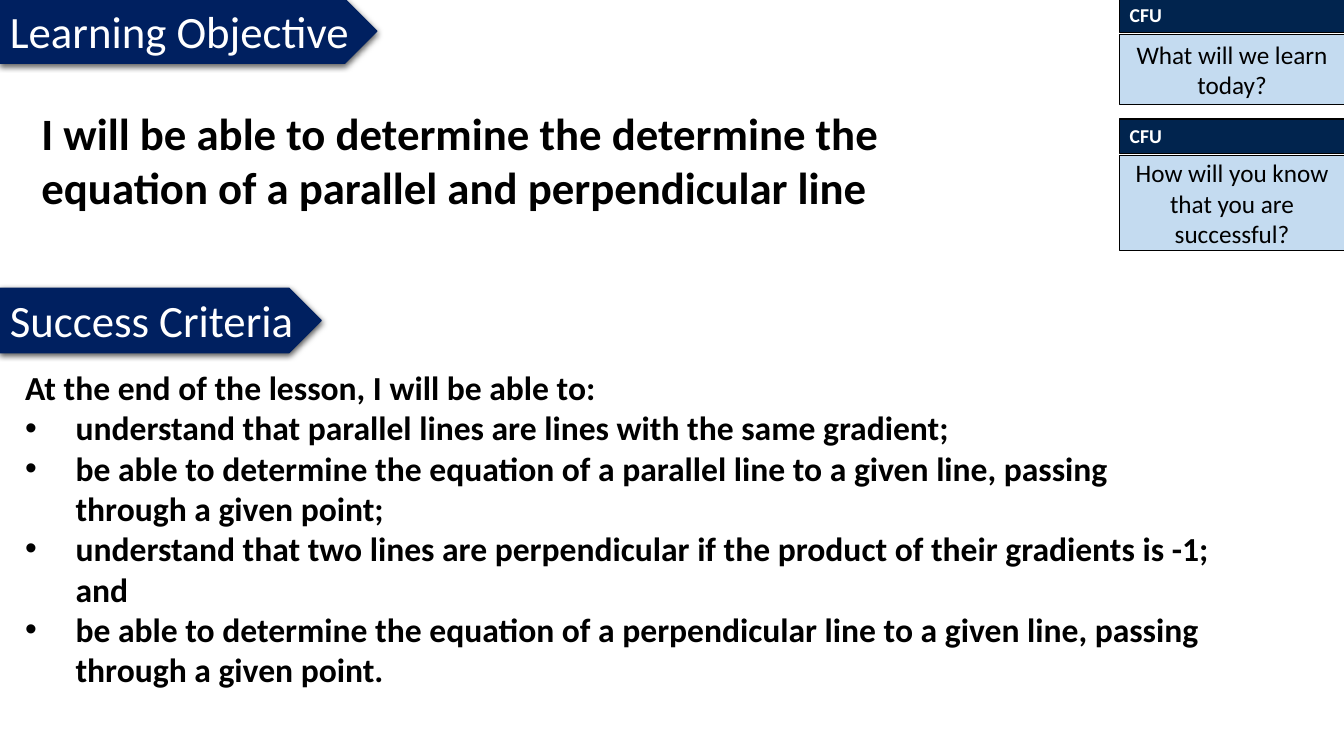
import lxml.etree
import pptx
import pptx.dml.color
import pptx.enum.shapes
import pptx.enum.text
import pptx.oxml.ns
import pptx.util

Cm, Pt = pptx.util.Cm, pptx.util.Pt
ANCHOR, ALIGN = pptx.enum.text.MSO_ANCHOR, pptx.enum.text.PP_ALIGN
SHAPE = pptx.enum.shapes.MSO_SHAPE
COLORS = {"navy": "002060", "header": "01244E", "question": "9DC3E6",
          "black": "000000", "white": "FFFFFF"}
OBJECTIVE = ("I will be able to determine the determine the equation of a "
             "parallel and perpendicular line")
CRITERIA = [
    "understand that parallel lines are lines with the same gradient;",
    "be able to determine the equation of a parallel line to a given line, "
    "passing through a given point;",
    "understand that two lines are perpendicular if the product of their "
    "gradients is -1; and",
    "be able to determine the equation of a perpendicular line to a given "
    "line, passing through a given point.",
]


def rgb(name):
    """Return the named colour."""
    return pptx.dml.color.RGBColor.from_string(COLORS[name])


def add_xml(parent, tag, **attrs):
    """Append a drawing element with the given attributes."""
    el = lxml.etree.SubElement(parent, pptx.oxml.ns.qn(tag))
    for key, value in attrs.items():
        el.set(key, str(value))
    return el


class LessonSlide:
    """Hold the lesson style and the slide being built."""

    def __init__(self, prs):
        """Add a title and content slide."""
        self.s = prs.slides.add_slide(prs.slide_layouts[1])
        self.font = "Calibri"

    def place(self, sp, box):
        """Move a shape to a box given in centimetres."""
        for name, value in zip(("left", "top", "width", "height"), box):
            setattr(sp, name, Cm(value))

    def fill_text(self, sp, lines, size, color="black", bold=False,
                  align=ALIGN.LEFT, anchor=ANCHOR.TOP, wrap=True):
        """Fill a shape with formatted paragraphs."""
        tf = sp.text_frame
        frame = {"word_wrap": wrap, "vertical_anchor": anchor,
                 "auto_size": pptx.enum.text.MSO_AUTO_SIZE.NONE}
        for name, value in frame.items():
            setattr(tf, name, value)
        for i, line in enumerate(lines):
            p = tf.paragraphs[0] if i == 0 else tf.add_paragraph()
            p.alignment, p.space_before = align, Pt(0)
            r = p.add_run()
            r.text = line
            fmt = {"name": self.font, "size": Pt(size), "bold": bold}
            for name, value in fmt.items():
                setattr(r.font, name, value)
            r.font.color.rgb = rgb(color)
        return tf

    def title(self, text, box):
        """Put the learning objective in the title placeholder."""
        sp = self.s.shapes.title
        self.place(sp, box)
        self.fill_text(sp, [text], 32, bold=True)

    def criteria(self, intro, items, box):
        """Put an intro and a bulleted list in the body placeholder."""
        sp = self.s.placeholders[1]
        self.place(sp, box)
        tf = self.fill_text(sp, [intro] + items, 24, bold=True)
        for i, p in enumerate(tf.paragraphs):
            pPr = p._p.get_or_add_pPr()
            hang = Cm(1.27) if i else 0
            pPr.set("marL", str(hang))
            pPr.set("indent", str(-hang))
            if i:
                add_xml(pPr, "a:buFont", typeface="Arial")
                add_xml(pPr, "a:buChar", char="•")
            else:
                add_xml(pPr, "a:buNone")

    def shape(self, shapes, kind, box, fill, line):
        """Add a filled and outlined preset shape."""
        sp = shapes.add_shape(kind, *map(Cm, box))
        sp.shadow.inherit = False
        sp.fill.solid()
        sp.fill.fore_color.rgb = rgb(fill)
        sp.line.color.rgb = rgb(line)
        sp.line.width = Pt(0.75)
        return sp

    def banner(self, text, top, width):
        """Add a section arrow with a soft shadow."""
        sp = self.shape(self.s.shapes, SHAPE.PENTAGON,
                        (0, top, width, 1.63), "navy", "navy")
        effects = sp._element.spPr.find(pptx.oxml.ns.qn("a:effectLst"))
        shadow = add_xml(effects, "a:outerShdw", blurRad=Pt(4.5), dist=Pt(1.5),
                         dir=5400000, rotWithShape=0)
        color = add_xml(shadow, "a:srgbClr", val=COLORS["black"])
        add_xml(color, "a:alpha", val=63000)
        self.fill_text(sp, [text], 32, "white", wrap=False)

    def check(self, question, top, height):
        """Add a grouped header and question box."""
        shapes = self.s.shapes.add_group_shape().shapes
        left, width = 28.22, 5.66
        head = self.shape(shapes, SHAPE.RECTANGLE, (left, top, width, 0.86),
                          "header", "black")
        self.fill_text(head, ["CFU"], 14, "white", bold=True)
        body = self.shape(shapes, SHAPE.RECTANGLE,
                          (left, top + 0.91, width, height), "question", "black")
        color = body._element.spPr.find(
            pptx.oxml.ns.qn("a:solidFill")).find(pptx.oxml.ns.qn("a:srgbClr"))
        add_xml(color, "a:alpha", val=60000)
        self.fill_text(body, [question], 18, align=ALIGN.CENTER,
                       anchor=ANCHOR.MIDDLE)


def main():
    """Build and save the lesson slide."""
    prs = pptx.Presentation()
    prs.slide_width, prs.slide_height = Cm(33.87), Cm(19.05)
    lesson = LessonSlide(prs)
    lesson.title(OBJECTIVE, (0.79, 2.54, 24.92, 3))
    lesson.criteria("At the end of the lesson, I will be able to:", CRITERIA,
                    (0.38, 9.12, 30.48, 8.46))
    lesson.check("What will we learn today?", -0.05, 1.78)
    lesson.check("How will you know that you are successful?", 3, 2.41)
    lesson.banner("Learning Objective", -0.03, 9.5)
    lesson.banner("Success Criteria", 7.26, 8.1)
    prs.save("out.pptx")


if __name__ == "__main__":
    main()
